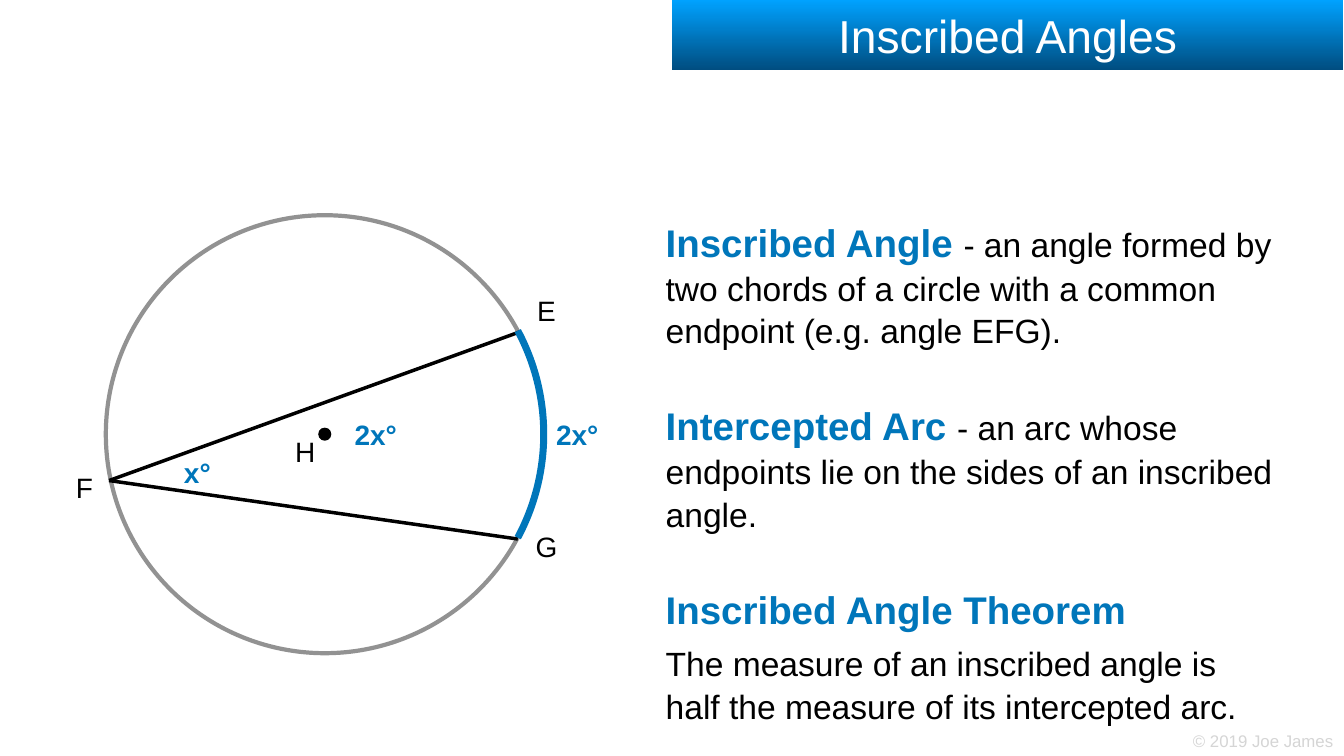
import math
from dataclasses import dataclass

import pptx
import pptx.dml.color
import pptx.enum.shapes
import pptx.enum.text
import pptx.oxml
import pptx.oxml.ns
import pptx.util
from pptx.util import Inches

SHAPE = pptx.enum.shapes.MSO_SHAPE
ALIGN = pptx.enum.text.PP_ALIGN
ANCHOR = pptx.enum.text.MSO_ANCHOR


@dataclass(frozen=True)
class Theme:
    font: str = "Arial"
    accent: str = "0076BA"
    ink: str = "000000"
    ring: str = "929292"
    paper: str = "FFFFFF"
    credit: str = "D5D5D5"
    banner_top: str = "00A2FF"
    banner_bottom: str = "004D80"
    title_size: int = 66
    term_size: int = 55
    body_size: int = 48
    label_size: int = 40
    credit_size: int = 24


THEME = Theme()


def rgb(code):
    return pptx.dml.color.RGBColor.from_string(code)


def write_run(paragraph, text, *, size, color=THEME.ink, bold=False):
    """Add one run of formatted text."""
    run = paragraph.add_run()
    run.text = text
    run.font.name = THEME.font
    run.font.size = pptx.util.Pt(size)
    run.font.bold = bold
    run.font.color.rgb = rgb(color)


def set_frame(frame, anchor, wrap=True):
    frame.auto_size = pptx.enum.text.MSO_AUTO_SIZE.NONE
    frame.word_wrap = wrap
    frame.vertical_anchor = anchor
    frame.margin_left = frame.margin_right = Inches(0.06)
    frame.margin_top = frame.margin_bottom = Inches(0.06)


def place(shape, box):
    shape.left, shape.top, shape.width, shape.height = map(Inches, box)


def stroke(shape, color, width):
    shape.line.color.rgb = rgb(color)
    shape.line.width = pptx.util.Pt(width)


def add_label(slide, text, box, **text_format):
    """One unwrapped line, centred in its box."""
    frame = slide.shapes.add_textbox(*map(Inches, box)).text_frame
    set_frame(frame, ANCHOR.MIDDLE, wrap=False)
    frame.paragraphs[0].alignment = ALIGN.CENTER
    write_run(frame.paragraphs[0], text, **text_format)


def add_banner(slide, box, text):
    title = slide.shapes.title
    place(title, box)
    title.fill.gradient()
    title.fill.gradient_angle = 270
    colors = (THEME.banner_top, THEME.banner_bottom)
    for stop, position, color in zip(title.fill.gradient_stops, (0, 1), colors):
        stop.position = position
        stop.color.rgb = rgb(color)
    set_frame(title.text_frame, ANCHOR.MIDDLE)
    heading = title.text_frame.paragraphs[0]
    heading.alignment = ALIGN.CENTER
    write_run(heading, text, size=THEME.title_size, color=THEME.paper)


def add_circle_diagram(slide, box):
    """Circle with an inscribed angle; points are offsets from its centre."""
    left, top, diameter, _ = box
    radius = diameter / 2
    center_x, center_y = left + radius, top + radius

    def at(point):
        return Inches(center_x + point[0]), Inches(center_y + point[1])

    circle = slide.shapes.add_shape(SHAPE.OVAL, *map(Inches, box))
    circle.shadow.inherit = False
    circle.fill.background()
    stroke(circle, THEME.ring, 6)

    # Chords from the vertex F
    vertex, upper_end, lower_end = (-4.28, 0.92), (3.87, -2.03), (3.83, 2.08)
    for end in (lower_end, upper_end):
        chord = slide.shapes.add_connector(
            pptx.enum.shapes.MSO_CONNECTOR.STRAIGHT, *at(vertex), *at(end))
        stroke(chord, THEME.ink, 5)
        chord._element.spPr.append(pptx.oxml.parse_xml(
            "<a:effectLst %s/>" % pptx.oxml.ns.nsdecls("a")))

    # Intercepted arc, symmetric about the horizontal diameter
    half_angle, steps = math.radians(28.2), 48
    angles = [half_angle * (2 * i / steps - 1) for i in range(steps + 1)]
    points = [at((radius * math.cos(a), radius * math.sin(a))) for a in angles]
    builder = slide.shapes.build_freeform(*points[0])
    builder.add_line_segments(points[1:], close=False)
    arc = builder.convert_to_shape()
    arc.shadow.inherit = False
    arc.fill.background()
    stroke(arc, THEME.accent, 10)

    # Centre point
    dot_size = 0.26
    dot = slide.shapes.add_shape(
        SHAPE.OVAL, *at((-dot_size / 2, -dot_size / 2)),
        Inches(dot_size), Inches(dot_size))
    dot.shadow.inherit = False
    dot.fill.solid()
    dot.fill.fore_color.rgb = rgb(THEME.ink)
    dot.line.fill.background()

    # Measures in bold accent, point names in black
    labels = [
        ("2x°", 5.01, 0, True), ("2x°", 1.01, 0, True), ("x°", -2.53, 0.75, True),
        ("E", 4.4, -2.46, False), ("F", -4.77, 1.05, False),
        ("G", 4.4, 2.22, False), ("H", -0.39, 0.33, False),
    ]
    width, height = 0.95, 0.78
    for text, x, y, is_measure in labels:
        add_label(slide, text,
                  (center_x + x - width / 2, center_y + y - height / 2, width, height),
                  size=THEME.label_size, bold=is_measure,
                  color=THEME.accent if is_measure else THEME.ink)


def add_definitions(slide, box, paragraphs):
    """Each paragraph is (space before, term, explanation)."""
    body = slide.placeholders[1]
    place(body, box)
    frame = body.text_frame
    set_frame(frame, ANCHOR.TOP)
    for index, (space, term, explanation) in enumerate(paragraphs):
        paragraph = frame.add_paragraph() if index else frame.paragraphs[0]
        properties = paragraph._p.get_or_add_pPr()
        properties.set("marL", "0")
        properties.set("indent", "0")
        properties.append(pptx.oxml.parse_xml(
            "<a:buNone %s/>" % pptx.oxml.ns.nsdecls("a")))
        paragraph.alignment = ALIGN.LEFT
        paragraph.line_spacing = 1.06
        paragraph.space_before = pptx.util.Pt(space)
        if term:
            write_run(paragraph, term, size=THEME.term_size,
                      color=THEME.accent, bold=True)
        if explanation:
            write_run(paragraph, explanation, size=THEME.body_size)


def main():
    deck = pptx.Presentation()
    deck.slide_width, deck.slide_height = Inches(26.67), Inches(15)
    slide = deck.slides.add_slide(deck.slide_layouts[1])

    add_label(slide, "© 2019 Joe James", (23.61, 14.45, 2.91, 0.49),
              size=THEME.credit_size, color=THEME.credit)
    add_banner(slide, (13.33, 0, 13.33, 1.39), "Inscribed Angles")
    add_circle_diagram(slide, (2.1, 4.27, 8.69, 8.69))
    section_gap = 70
    add_definitions(slide, (13.15, 4.23, 12.22, 9.84), [
        (0, "Inscribed Angle ", "- an angle formed by two chords of a circle "
                                "with a common endpoint (e.g. angle EFG)."),
        (section_gap, "Intercepted Arc ", "- an arc whose endpoints lie on the "
                                          "sides of an inscribed angle."),
        (section_gap, "Inscribed Angle Theorem", ""),
        (12, "", "The measure of an inscribed angle is half the measure of its "
                 "intercepted arc."),
    ])
    deck.save("out.pptx")


if __name__ == "__main__":
    main()
